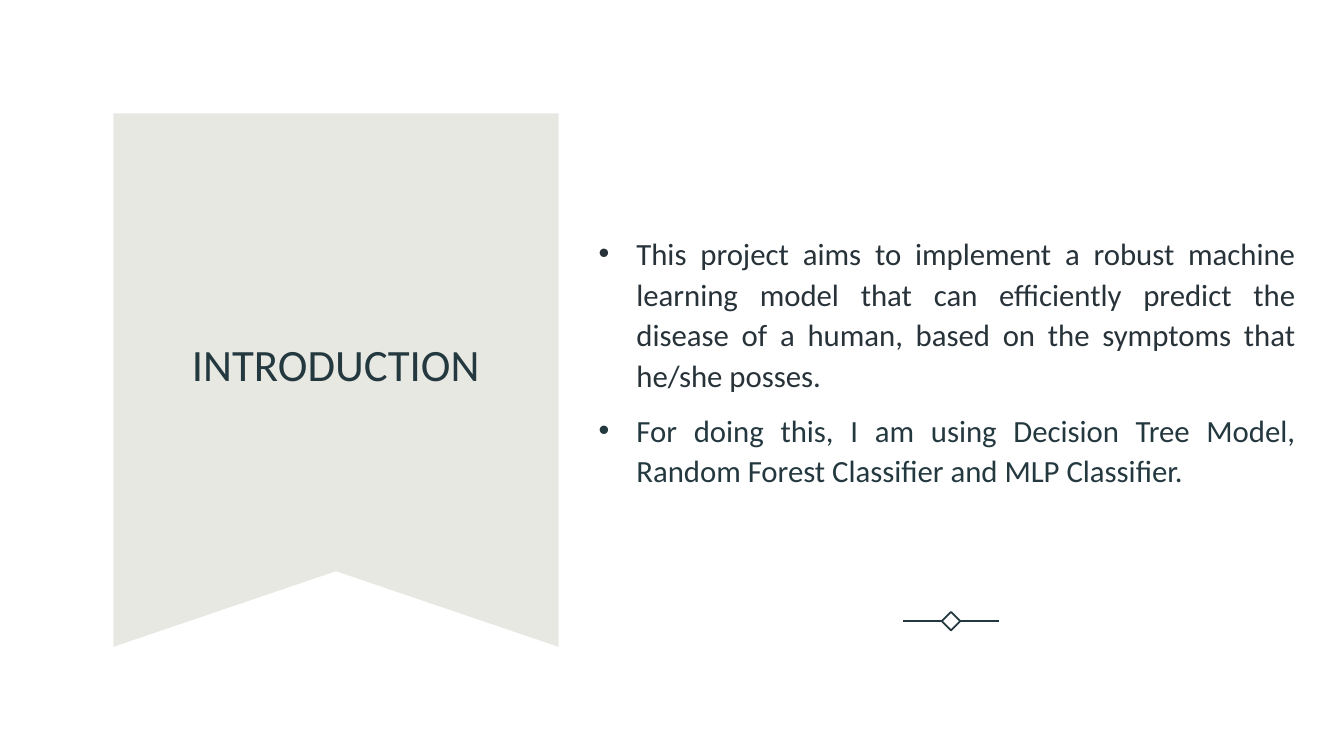
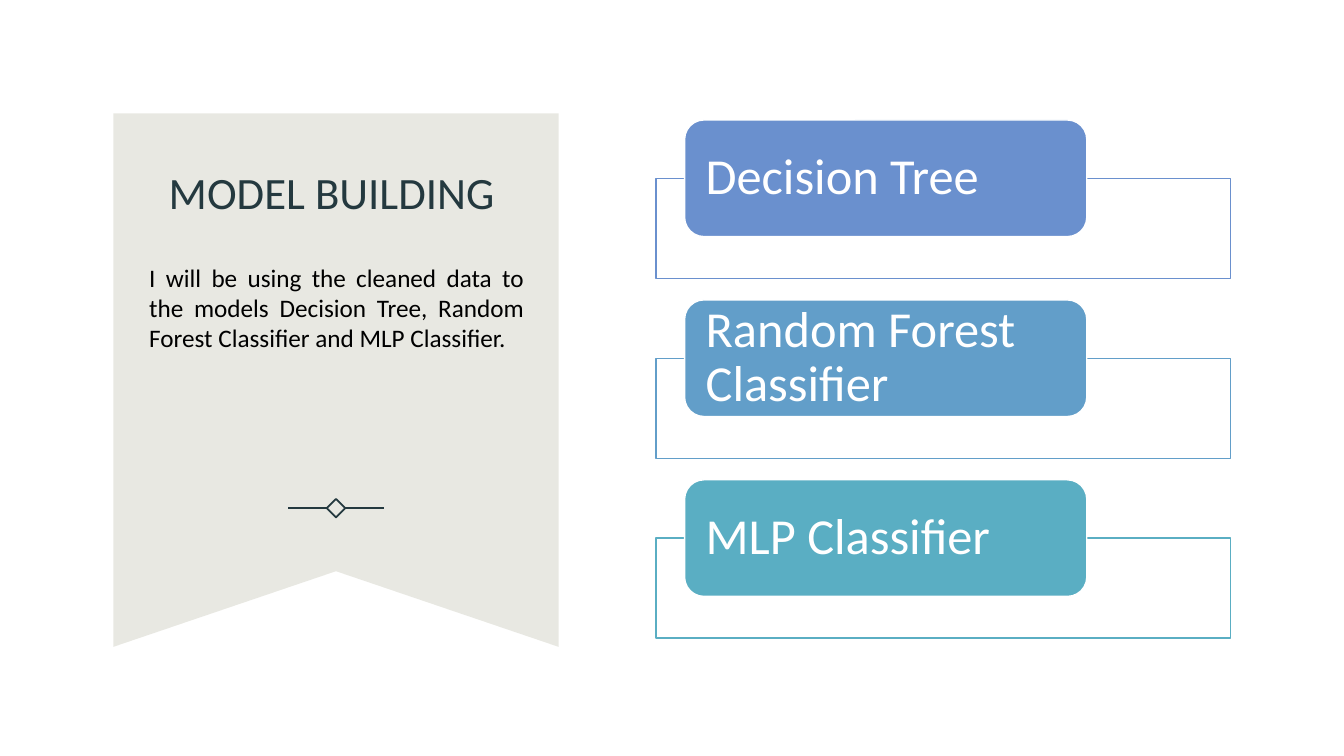
from lxml import etree
from pptx import Presentation
from pptx.dml.color import RGBColor
from pptx.enum.shapes import MSO_CONNECTOR, MSO_SHAPE
from pptx.enum.text import MSO_ANCHOR, MSO_AUTO_SIZE, PP_ALIGN
from pptx.oxml.ns import qn
from pptx.util import Pt

LINE = MSO_CONNECTOR.STRAIGHT
RECT, ROUND, GEM = MSO_SHAPE.RECTANGLE, MSO_SHAPE.ROUNDED_RECTANGLE, MSO_SHAPE.DIAMOND
TOP, MID = MSO_ANCHOR.TOP, MSO_ANCHOR.MIDDLE
LEFT, CENTER, FULL = PP_ALIGN.LEFT, PP_ALIGN.CENTER, PP_ALIGN.JUSTIFY
FIXED = MSO_AUTO_SIZE.NONE

FONT = "Calibri"
DARK, SLATE, BLACK, WHITE, SAND = "24393F", "273239", "000000", "FFFFFF", "E8E8E2"
RIBBON = [(81, 81), (399, 81), (399, 462), (240, 408), (81, 462)]

INTRO = [
    ("This project aims to implement a robust machine learning model that can "
     "efficiently predict the disease of a human, based on the symptoms that "
     "he/she posses.", SLATE),
    ("For doing this, I am using Decision Tree Model, Random Forest Classifier "
     "and MLP Classifier.", DARK),
]
PLAN = [("I will be using the cleaned data to the models Decision Tree, Random "
         "Forest Classifier and MLP Classifier.", BLACK)]
MODELS = [
    ("Decision Tree", "6A90CE"),
    ("Random Forest Classifier", "629EC9"),
    ("MLP Classifier", "5AAEC3"),
]


def rgb(code):
    return RGBColor.from_string(code)


def paint(shape, fill=None, line=None, width=1):
    shape.shadow.inherit = False
    if fill:
        shape.fill.solid()
        shape.fill.fore_color.rgb = rgb(fill)
    else:
        shape.fill.background()
    if line:
        shape.line.color.rgb = rgb(line)
        shape.line.width = Pt(width)
    else:
        shape.line.fill.background()


def add_box(slide, kind, box, fill=None, line=None, width=1):
    shape = slide.shapes.add_shape(kind, *map(Pt, box))
    paint(shape, fill, line, width)
    return shape


def write(shape, items, size, align, anchor=MID, space=1.0, before=0):
    frame = shape.text_frame
    frame.word_wrap = True
    frame.auto_size = FIXED
    frame.vertical_anchor = anchor
    for i, (text, color) in enumerate(items):
        para = frame.add_paragraph() if i else frame.paragraphs[0]
        para.text = text
        para.alignment = align
        para.line_spacing = space
        para.space_before = Pt(before)
        para.font.name = FONT
        para.font.size = Pt(size)
        para.font.color.rgb = rgb(color)
    return frame


def add_text(slide, box, *args, **style):
    return write(slide.shapes.add_textbox(*map(Pt, box)), *args, **style)


def add_dots(frame, indent):
    for para in frame.paragraphs:
        props = para._p.get_or_add_pPr()
        props.set("marL", str(Pt(indent)))
        props.set("indent", str(-Pt(indent)))
        etree.SubElement(props, qn("a:buFont")).set("typeface", "Arial")
        etree.SubElement(props, qn("a:buChar")).set("char", "•")


def add_mark(slide, x, y, half=6.6, reach=34.3):
    add_box(slide, GEM, (x - half, y - half, 2 * half, 2 * half), line=DARK, width=1.25)
    for side in (-1, 1):
        ends = (x + side * half, y, x + side * reach, y)
        rule = slide.shapes.add_connector(LINE, *map(Pt, ends))
        rule.line.color.rgb = rgb(DARK)
        rule.line.width = Pt(1.25)
        etree.SubElement(rule._element.spPr, qn("a:effectLst"))


def add_slide(deck, name, box):
    slide = deck.slides.add_slide(deck.slide_layouts[5])
    pen = slide.shapes.build_freeform(*map(Pt, RIBBON[0]))
    pen.add_line_segments([(Pt(x), Pt(y)) for x, y in RIBBON[1:]], close=True)
    paint(pen.convert_to_shape(), SAND)
    title = slide.shapes.title
    title.left, title.top, title.width, title.height = map(Pt, box)
    write(title, [(name, DARK)], 32, CENTER, space=1.1)
    slide.shapes._spTree.append(title._element)
    return slide


def add_models(slide, top=85.7, step=128.5):
    for i, (name, color) in enumerate(MODELS):
        y = top + i * step
        add_box(slide, RECT, (468.5, y + 41.7, 410.5, 71.4), WHITE, color)
        pill = add_box(slide, ROUND, (489, y, 287.3, 83.3), color, WHITE)
        frame = write(pill, [(name, WHITE)], 36, LEFT, space=0.9)
        frame.margin_left = frame.margin_right = Pt(11)
        frame.margin_top = frame.margin_bottom = 0


def main():
    deck = Presentation()
    deck.slide_width, deck.slide_height = Pt(960), Pt(540)

    intro = add_slide(deck, "INTRODUCTION", (81, 137, 318, 241))
    body = add_text(intro, (420.5, 81.4, 512, 351.4), INTRO, 22, FULL,
                    space=1.1, before=10)
    add_dots(body, 27)
    add_mark(intro, 679.3, 443.7)

    build = add_slide(deck, "MODEL BUILDING", (87, 86.4, 300, 97.2))
    add_mark(build, 240, 363)
    add_models(build)
    add_text(build, (99.5, 183.6, 282, 72.7), PLAN, 18, FULL, TOP)

    deck.save("out.pptx")


if __name__ == "__main__":
    main()
